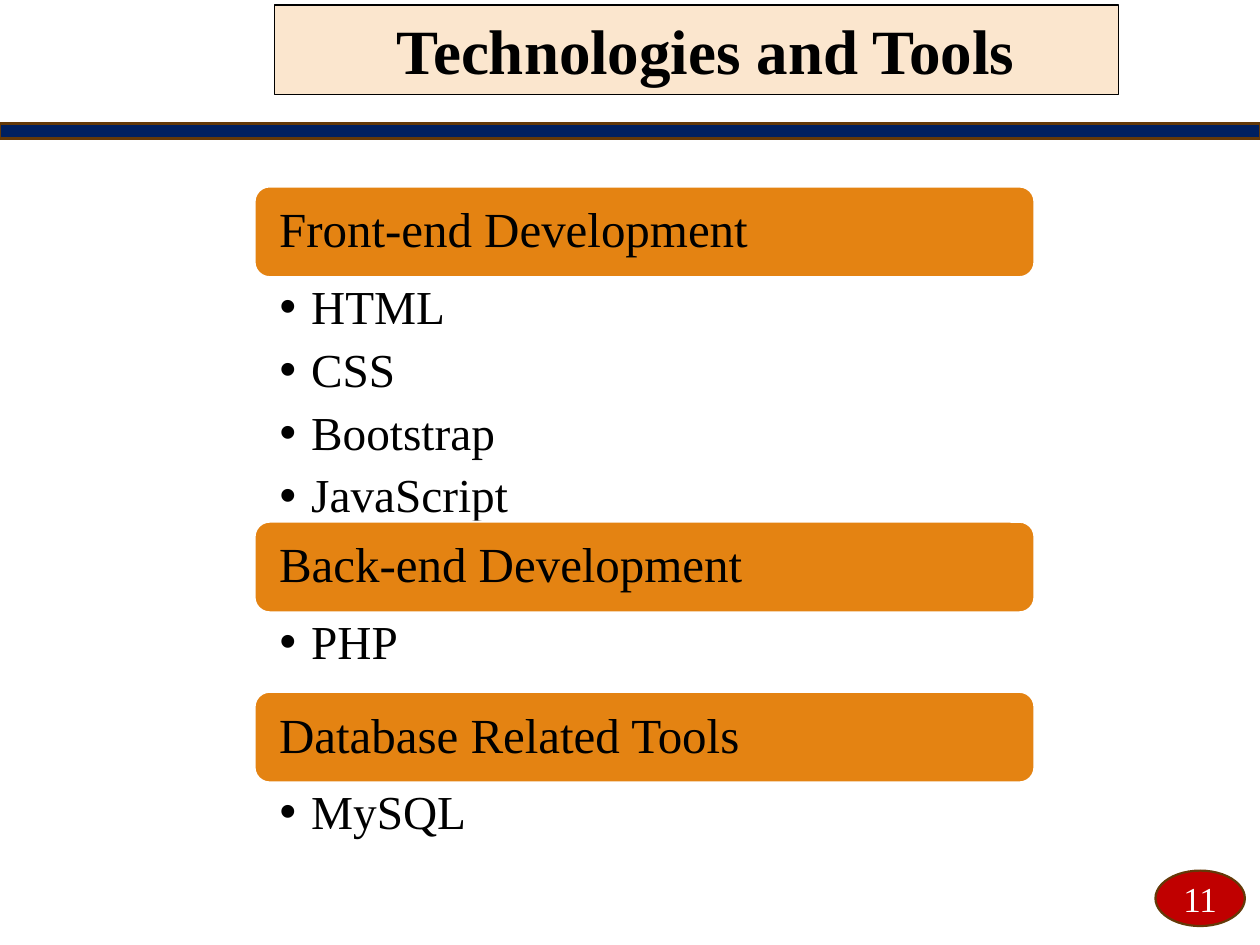
from lxml import etree
from pptx import Presentation
from pptx.dml.color import RGBColor
from pptx.enum import shapes, text
from pptx.oxml import ns
from pptx.util import Inches, Pt

BLACK = RGBColor(0x00, 0x00, 0x00)
WHITE = RGBColor(0xFF, 0xFF, 0xFF)
CREAM = RGBColor(0xFB, 0xE6, 0xCE)
NAVY = RGBColor(0x00, 0x20, 0x60)
BROWN = RGBColor(0x64, 0x39, 0x08)
ORANGE = RGBColor(0xE4, 0x83, 0x12)
RED = RGBColor(0xC0, 0x00, 0x00)

FONT = "Times New Roman"
HEADING_HEIGHT = 0.72
# Heading, its tools, height of the tool list
SECTIONS = [
    ("Front-end Development", ["HTML", "CSS", "Bootstrap", "JavaScript"], 1.94),
    ("Back-end Development", ["PHP"], 0.63),
    ("Database Related Tools", ["MySQL"], 0.63),
]


def add_box(slide, preset, box, fill, line, line_width=1.25):
    shape = slide.shapes.add_shape(preset, *map(Inches, box))
    shape.shadow.inherit = False
    shape.fill.solid()
    shape.fill.fore_color.rgb = fill
    shape.line.color.rgb = line
    shape.line.width = Pt(line_width)
    return shape


def add_bullet(paragraph):
    properties = paragraph._p.get_or_add_pPr()
    properties.set("marL", str(Inches(0.25)))
    properties.set("indent", str(Inches(-0.25)))
    etree.SubElement(properties, ns.qn("a:buFont"), typeface="Arial")
    etree.SubElement(properties, ns.qn("a:buChar"), char="•")


def write(shape, lines, size, color=BLACK, bold=False, align=text.PP_ALIGN.LEFT,
          anchor=text.MSO_ANCHOR.MIDDLE, insets=(0.1, 0.05, 0.1, 0.05),
          line_spacing=None, space_after=None, bullets=False):
    frame = shape.text_frame
    frame.word_wrap = True
    frame.vertical_anchor = anchor
    (frame.margin_left, frame.margin_top,
     frame.margin_right, frame.margin_bottom) = map(Inches, insets)
    for index, line in enumerate(lines):
        paragraph = frame.add_paragraph() if index else frame.paragraphs[0]
        paragraph.alignment = align
        paragraph.line_spacing = line_spacing
        if space_after is not None:
            paragraph.space_after = Pt(space_after)
        if bullets:
            add_bullet(paragraph)
        run = paragraph.add_run()
        run.text = line
        run.font.name = FONT
        run.font.size = Pt(size)
        run.font.bold = bold
        run.font.color.rgb = color


def add_header(slide, title_box, rule_box):
    title = add_box(slide, shapes.MSO_SHAPE.RECTANGLE, title_box, CREAM, BLACK, 0.75)
    write(title, ["Technologies and Tools"], 36, bold=True,
          align=text.PP_ALIGN.CENTER, anchor=text.MSO_ANCHOR.TOP,
          insets=(0.24, 0.05, 0.1, 0.05))
    add_box(slide, shapes.MSO_SHAPE.RECTANGLE, rule_box, NAVY, BROWN)


def add_sections(slide, left, top, width):
    for heading, tools, list_height in SECTIONS:
        # Heading bar
        bar = add_box(slide, shapes.MSO_SHAPE.ROUNDED_RECTANGLE,
                      (left, top, width, HEADING_HEIGHT), ORANGE, WHITE)
        write(bar, [heading], 28, insets=(0.16, 0.05, 0.16, 0.05), line_spacing=0.9)
        top += HEADING_HEIGHT
        # Bulleted tools
        tool_list = slide.shapes.add_textbox(
            *map(Inches, (left, top, width, list_height)))
        write(tool_list, tools, 27, anchor=text.MSO_ANCHOR.TOP,
              insets=(0.2, 0.05, 0.27, 0.05), line_spacing=0.9,
              space_after=6.75, bullets=True)
        top += list_height


def add_page_number(slide, box):
    badge = add_box(slide, shapes.MSO_SHAPE.OVAL, box, RED, BROWN)
    write(badge, ["11"], 20, color=WHITE, align=text.PP_ALIGN.CENTER)


def main():
    deck = Presentation()
    deck.slide_width, deck.slide_height = Inches(10), Inches(7.5)
    slide = deck.slides.add_slide(deck.slide_layouts[6])
    add_header(slide, (2.18, 0.04, 6.7, 0.71), (0, 0.98, 10, 0.12))
    add_sections(slide, 2.02, 1.48, 6.19)
    add_page_number(slide, (9.17, 6.91, 0.71, 0.44))
    deck.save("out.pptx")


if __name__ == "__main__":
    main()
